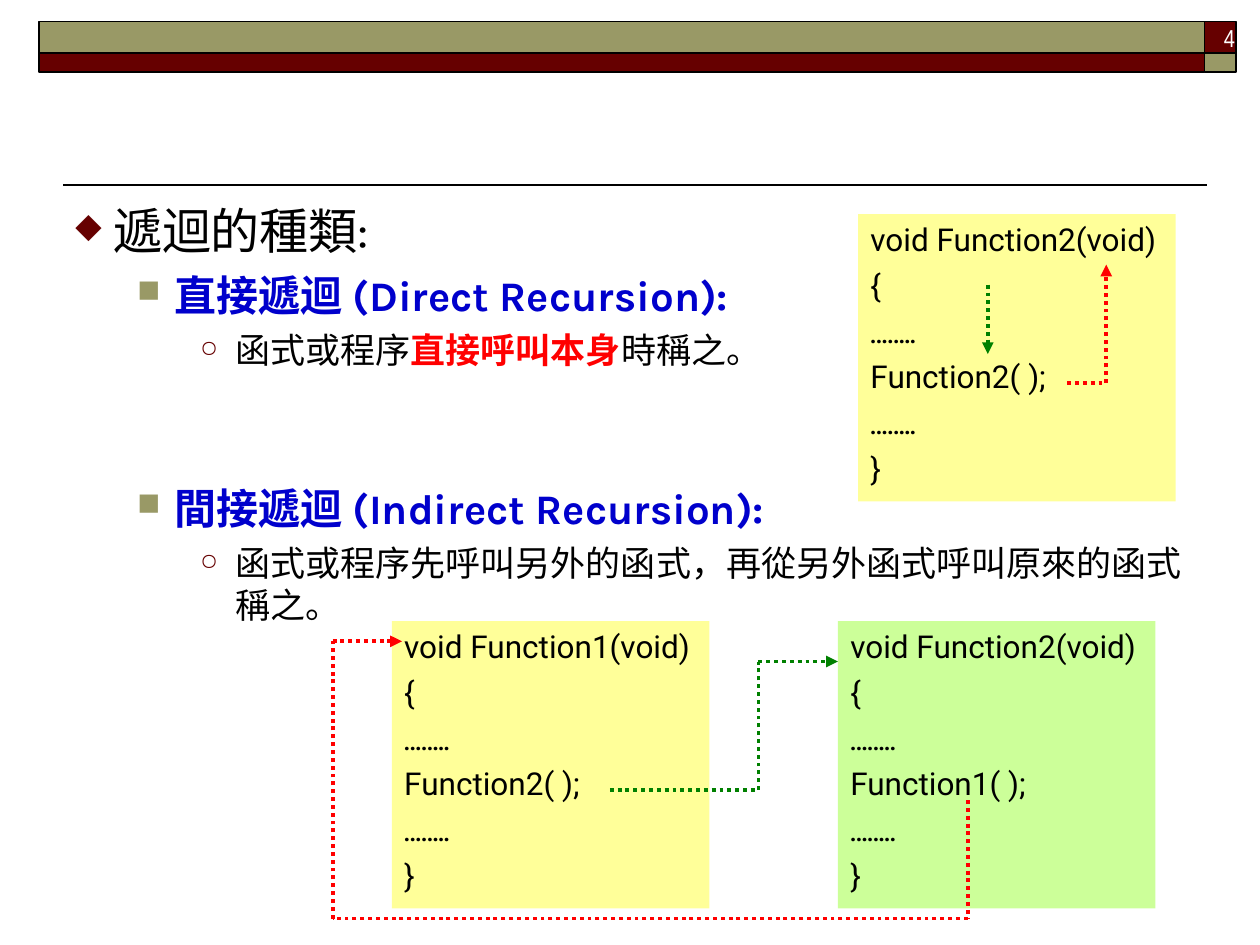
from dataclasses import dataclass
from itertools import pairwise

from lxml.etree import SubElement
from pptx import Presentation
from pptx.dml.color import RGBColor
from pptx.enum.dml import MSO_LINE
from pptx.enum.shapes import MSO_CONNECTOR, MSO_SHAPE
from pptx.enum.text import MSO_ANCHOR, PP_ALIGN
from pptx.oxml.ns import qn
from pptx.util import Inches, Pt


@dataclass(frozen=True)
class Theme:
    black: str = "000000"
    white: str = "FFFFFF"
    maroon: str = "660000"
    olive: str = "999966"
    blue: str = "0000CC"
    red: str = "FF0000"
    green: str = "008000"
    yellow: str = "FFFF99"
    lime: str = "CCFF99"
    body_font: str = "Karla"
    code_font: str = "Roboto"
    number_font: str = "Arial Narrow"
    code_size: float = 18
    number_size: float = 14
    rule_width: float = 1
    arrow_width: float = 2.25


@dataclass(frozen=True)
class Level:
    size: float
    indent: float
    hanging: float
    before: float
    bullet: str
    bullet_color: str
    bullet_percent: int


@dataclass(frozen=True)
class Span:
    text: str
    color: str
    bold: bool = False


@dataclass(frozen=True)
class Item:
    level: int
    spans: tuple[Span, ...]
    extra_before: float = 0


@dataclass(frozen=True)
class CodeBox:
    left: float
    top: float
    fill: str
    name: str
    call: str


@dataclass(frozen=True)
class Route:
    color: str
    points: tuple[tuple[float, float], ...]


THEME = Theme()
LEVELS = (
    Level(28, 0.3, 0.3, 7, "◆", THEME.maroon, 70),
    Level(24, 0.79, 0.3, 6, "■", THEME.olive, 75),
    Level(20, 1.27, 0.28, 5, "○", THEME.maroon, 65),
)
ITEMS = (
    Item(0, (Span("遞迴的種類:", THEME.black),)),
    Item(1, (Span("直接遞迴 (Direct Recursion):", THEME.blue, True),)),
    Item(2, (Span("函式或程序", THEME.black),
             Span("直接呼叫本身", THEME.red, True),
             Span("時稱之。", THEME.black))),
    Item(1, (Span("間接遞迴 (Indirect Recursion):", THEME.blue, True),), 58),
    Item(2, (Span("函式或程序先呼叫另外的函式，再從另外函式呼叫原來的函式稱之。",
                  THEME.black),)),
)
CODE_BOXES = (
    CodeBox(6.81, 1.7, THEME.yellow, "Function2", "Function2"),
    CodeBox(3.11, 4.93, THEME.yellow, "Function1", "Function2"),
    CodeBox(6.65, 4.93, THEME.lime, "Function2", "Function1"),
)
ROUTES = (
    Route(THEME.green, ((7.84, 2.26), (7.84, 2.81))),
    Route(THEME.red, ((8.47, 3.04), (8.78, 3.04), (8.78, 2.1))),
    Route(THEME.green, ((4.84, 6.27), (6.02, 6.27), (6.02, 5.25), (6.65, 5.25))),
    Route(THEME.red, ((7.68, 6.35), (7.68, 7.29), (2.64, 7.29),
                      (2.64, 5.09), (3.19, 5.09))),
)


def add_span(para, text: str, *, font: str, size: float, color: str,
             bold: bool = False) -> None:
    span = para.add_run()
    span.text = text
    span.font.name = font
    span.font.size = Pt(size)
    span.font.bold = bold
    span.font.color.rgb = RGBColor.from_string(color)


def add_rectangle(page, left: float, top: float, width: float, height: float,
                  fill: str, outlined: bool = False):
    box = page.shapes.add_shape(MSO_SHAPE.RECTANGLE, Inches(left), Inches(top),
                                Inches(width), Inches(height))
    box.shadow.inherit = False
    box.fill.solid()
    box.fill.fore_color.rgb = RGBColor.from_string(fill)
    if outlined:
        box.line.color.rgb = RGBColor.from_string(THEME.black)
        box.line.width = Pt(THEME.rule_width)
    else:
        box.line.fill.background()
    return box


def add_line(page, start: tuple[float, float], end: tuple[float, float], *,
             color: str, width: float, dotted: bool = False,
             arrow: bool = False) -> None:
    line = page.shapes.add_connector(MSO_CONNECTOR.STRAIGHT,
                                     *map(Inches, start + end))
    line.line.color.rgb = RGBColor.from_string(color)
    line.line.width = Pt(width)
    if dotted:
        line.line.dash_style = MSO_LINE.ROUND_DOT
    if arrow:
        SubElement(line.line._get_or_add_ln(), qn("a:tailEnd"), type="triangle")
    SubElement(line._element.spPr, qn("a:effectLst"))


def add_text_box(page, left: float, top: float, width: float, height: float):
    box = page.shapes.add_textbox(Inches(left), Inches(top),
                                  Inches(width), Inches(height))
    box.text_frame.word_wrap = True
    return box.text_frame


def next_para(frame, index: int, before: float):
    if index == 0:
        return frame.paragraphs[0]
    para = frame.add_paragraph()
    para.space_before = Pt(before)
    return para


def set_bullet(para, level: Level) -> None:
    properties = para._p.get_or_add_pPr()
    properties.set("marL", str(Inches(level.indent)))
    properties.set("indent", str(-Inches(level.hanging)))
    color = SubElement(properties, qn("a:buClr"))
    SubElement(color, qn("a:srgbClr"), val=level.bullet_color)
    SubElement(properties, qn("a:buSzPct"), val=str(level.bullet_percent * 1000))
    SubElement(properties, qn("a:buChar"), char=level.bullet)


def add_outline(page) -> None:
    frame = add_text_box(page, 0.5, 1.54, 9, 5.59)
    for index, item in enumerate(ITEMS):
        level = LEVELS[item.level]
        para = next_para(frame, index, level.before + item.extra_before)
        set_bullet(para, level)
        for span in item.spans:
            add_span(para, span.text, font=THEME.body_font, size=level.size,
                     color=span.color, bold=span.bold)


def add_code_box(page, code: CodeBox) -> None:
    frame = add_rectangle(page, code.left, code.top, 2.52, 2.28,
                          code.fill).text_frame
    frame.word_wrap = True
    frame.vertical_anchor = MSO_ANCHOR.TOP
    dots = "…….."
    lines = (f"void {code.name}(void)", "{", dots, f"{code.call}( );", dots, "}")
    for index, text in enumerate(lines):
        para = next_para(frame, index, 4.5)
        para.alignment = PP_ALIGN.LEFT
        font = THEME.body_font if text == dots else THEME.code_font
        add_span(para, text, font=font, size=THEME.code_size, color=THEME.black)


def add_header(page) -> None:
    for left, width, colors in ((0.31, 9.25, (THEME.olive, THEME.maroon)),
                                (9.56, 0.25, (THEME.maroon, THEME.olive))):
        for (top, height), color in zip(((0.17, 0.25), (0.42, 0.15)), colors):
            add_rectangle(page, left, top, width, height, color, outlined=True)
    add_line(page, (0.5, 1.47), (9.58, 1.47), color=THEME.black,
             width=THEME.rule_width)


def add_page_number(page) -> None:
    para = add_text_box(page, 7.82, 0.13, 2.08, 0.32).paragraphs[0]
    para.alignment = PP_ALIGN.RIGHT
    add_span(para, "4", font=THEME.number_font, size=THEME.number_size,
             color=THEME.white)


def main() -> None:
    deck = Presentation()
    deck.slide_width, deck.slide_height = Inches(10), Inches(7.5)
    page = deck.slides.add_slide(deck.slide_layouts[6])
    add_header(page)
    add_outline(page)
    for code in CODE_BOXES:
        add_code_box(page, code)
    # Call paths: only the last segment carries the arrowhead
    for route in ROUTES:
        for start, end in pairwise(route.points):
            add_line(page, start, end, color=route.color, width=THEME.arrow_width,
                     dotted=True, arrow=end == route.points[-1])
    add_page_number(page)
    deck.save("out.pptx")


if __name__ == "__main__":
    main()
